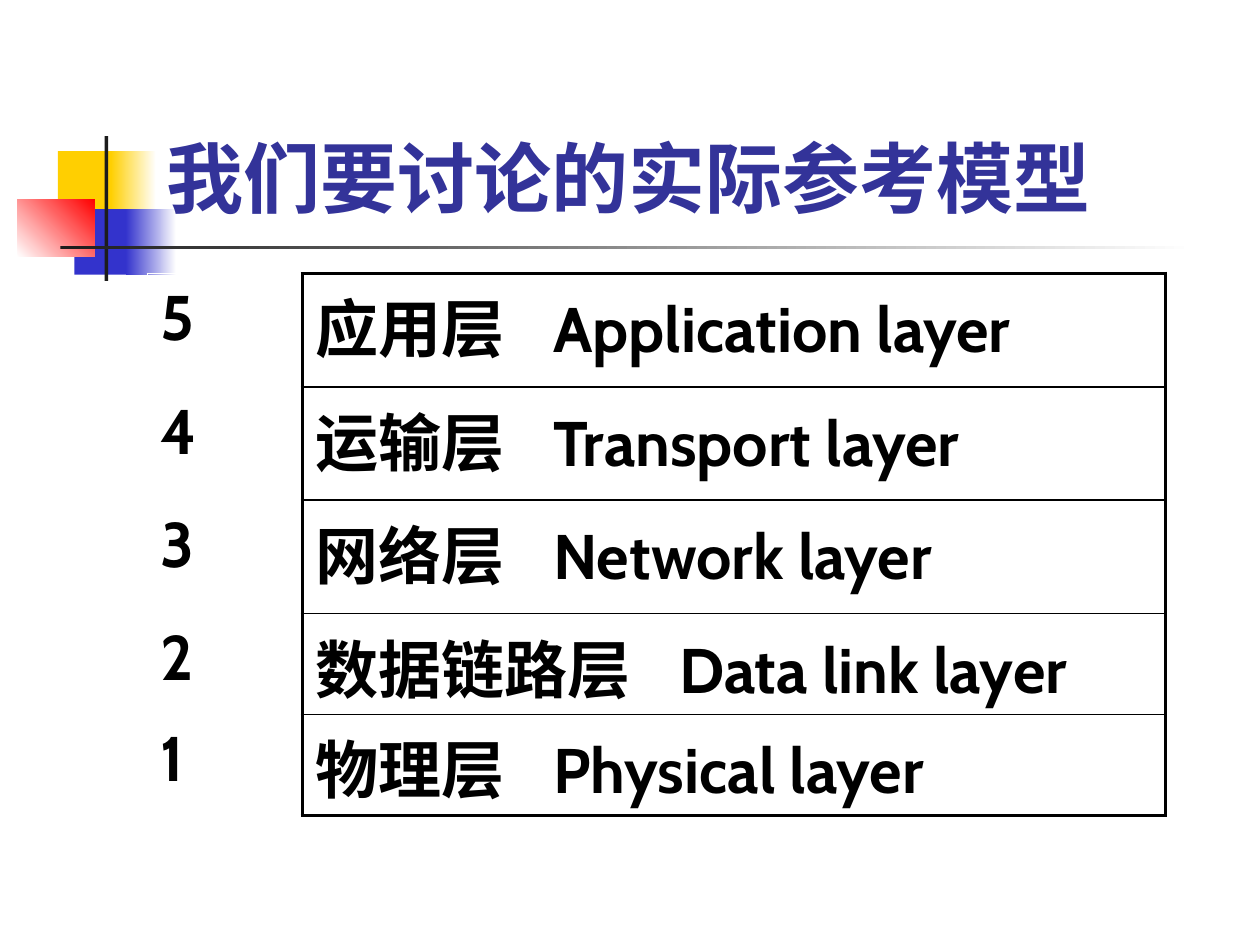
"""Build a slide that lists the five layers of the practical reference model."""
import lxml.etree
import pptx
import pptx.dml.color
import pptx.enum.lang
import pptx.enum.shapes
import pptx.enum.text
import pptx.oxml.ns
import pptx.util

Inches = pptx.util.Inches
LAYERS = [
    ("应用层", "Application layer", 0.9),
    ("运输层", "Transport layer", 0.9),
    ("网络层", "Network layer", 0.9),
    ("数据链路层", "Data link layer", 0.8),
    ("物理层", "Physical layer", 0.8),
]
ORNAMENTS = [
    ((0.46, 1.2, 0.48, 0.52), ["FFCF01"], 0),
    ((0.88, 1.2, 0.36, 0.52), ["FFCF01", "FFFFFF"], 0),
    ((0.59, 1.66, 0.46, 0.52), ["3333CC"], 0),
    ((1, 1.66, 0.4, 0.52), ["3333CC", "FFFFFF"], 0),
    ((0.14, 1.58, 0.61, 0.46), ["FFFFFF", "FF0000"], 45),
    ((0.83, 1.08, 0.03, 1.15), ["1C1C1C"], 0),
    ((0.48, 1.95, 9, 0.03), ["1C1C1C", "FFFFFF"], 0),
]
FONT = {
    "name": "Cabin",
    "bold": True,
    "language_id": pptx.enum.lang.MSO_LANGUAGE_ID.SIMPLIFIED_CHINESE,
}
OUTER, INNER = 2.25, 1


def color(value):
    """Return the colour for a hex string."""
    return pptx.dml.color.RGBColor.from_string(value)


def add_ornament(page, place, colors, angle):
    """Add a rectangle with a plain fill or a two-colour gradient."""
    box = page.shapes.add_shape(
        pptx.enum.shapes.MSO_SHAPE.RECTANGLE, *map(Inches, place))
    box.shadow.inherit = False
    box.line.fill.background()
    if len(colors) == 1:
        box.fill.solid()
        box.fill.fore_color.rgb = color(colors[0])
        return
    box.fill.gradient()
    box.fill.gradient_angle = angle
    for stop, value in zip(box.fill.gradient_stops, colors):
        stop.color.rgb = color(value)


def add_span(para, text, size, value):
    """Add a run of text in the slide's font."""
    span = para.add_run()
    span.text = text
    for name, setting in {**FONT, "size": pptx.util.Pt(size)}.items():
        setattr(span.font, name, setting)
    span.font.color.rgb = color(value)
    return span


def add_title(page, text):
    """Add the title, resting on the bottom of its box."""
    box = page.shapes.add_textbox(*map(Inches, (1.22, 0.99, 8.11, 0.83)))
    frame = box.text_frame
    frame.word_wrap = True
    frame.vertical_anchor = pptx.enum.text.MSO_ANCHOR.BOTTOM
    add_span(frame.paragraphs[0], text, 44, "333399")


def set_borders(cell, widths):
    """Draw black borders with the given width in points for each side."""
    properties = cell._tc.get_or_add_tcPr()
    for side, width in widths.items():
        line = lxml.etree.SubElement(
            properties, pptx.oxml.ns.qn(f"a:ln{side}"), w=str(pptx.util.Pt(width)))
        fill = lxml.etree.SubElement(line, pptx.oxml.ns.qn("a:solidFill"))
        lxml.etree.SubElement(fill, pptx.oxml.ns.qn("a:srgbClr"), val="000000")


def fill_cell(cell, words):
    """Clear the cell's fill and write words with a wide gap between them."""
    cell.fill.background()
    para = cell.text_frame.paragraphs[0]
    for index, word in enumerate(words):
        if index:
            gap = add_span(para, " ", 36, "000000")
            gap.font._element.set("spc", "2000")
        add_span(para, word, 36, "000000")


def add_layer_table(page):
    """Add the numbered table of layers, boxed in its second column."""
    count = len(LAYERS)
    frame = page.shapes.add_table(count, 2, *map(Inches, (1.17, 2.17, 8.08, 4.3)))
    table = frame.table
    table.first_row = table.horz_banding = False
    for column, width in zip(table.columns, (1.23, 6.85)):
        column.width = Inches(width)
    for index, (chinese, english, height) in enumerate(LAYERS):
        table.rows[index].height = Inches(height)
        number, layer = table.rows[index].cells
        set_borders(number, {"R": OUTER})
        set_borders(layer, {
            "L": OUTER,
            "R": OUTER,
            "T": INNER if index else OUTER,
            "B": INNER if index < count - 1 else OUTER,
        })
        fill_cell(number, [str(count - index)])
        fill_cell(layer, [chinese, english])


def main():
    """Build and save the deck."""
    deck = pptx.Presentation()
    deck.slide_width, deck.slide_height = Inches(10), Inches(7.5)
    page = deck.slides.add_slide(deck.slide_layouts[6])
    for ornament in ORNAMENTS:
        add_ornament(page, *ornament)
    add_title(page, "我们要讨论的实际参考模型")
    add_layer_table(page)
    deck.save("out.pptx")


if __name__ == "__main__":
    main()
